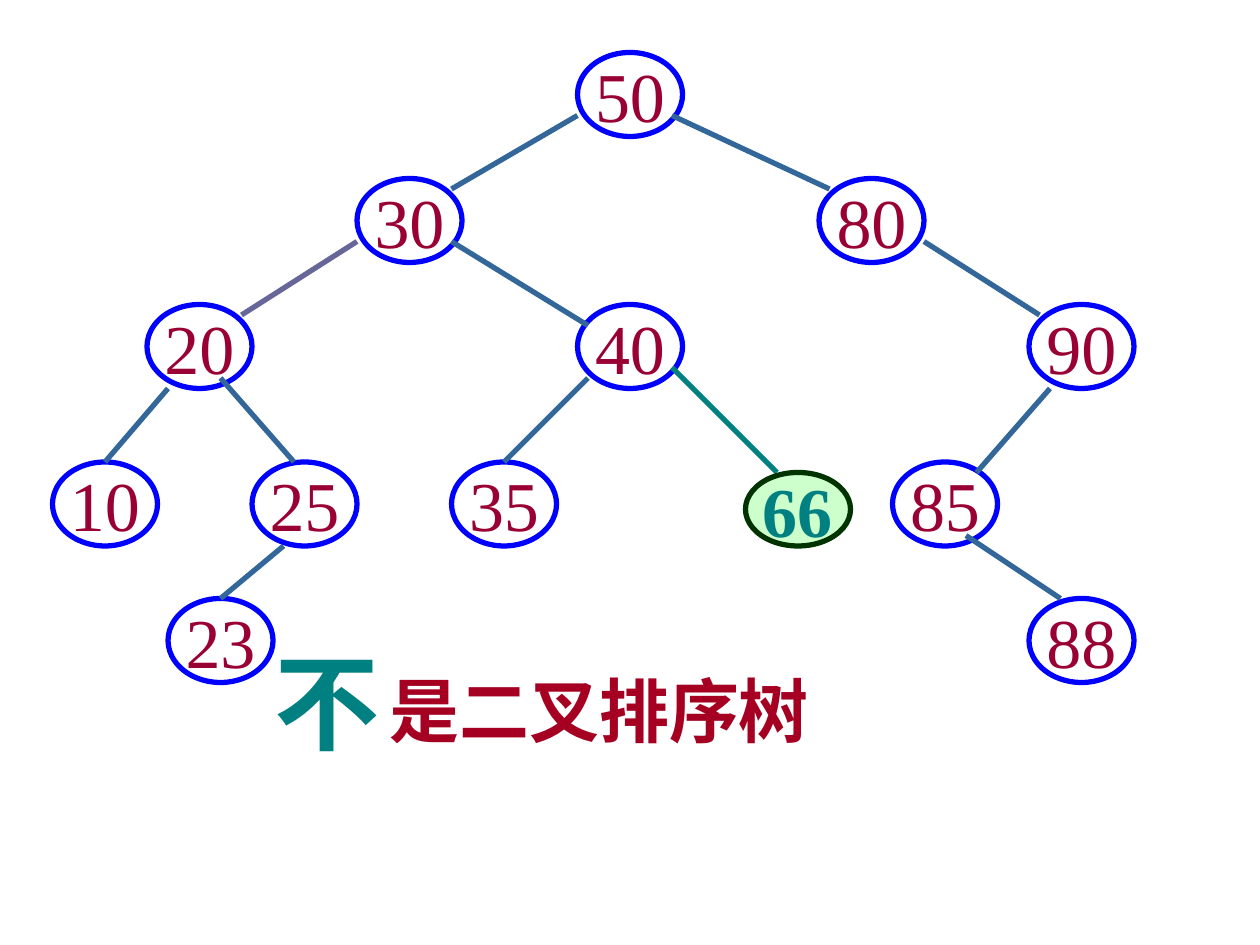
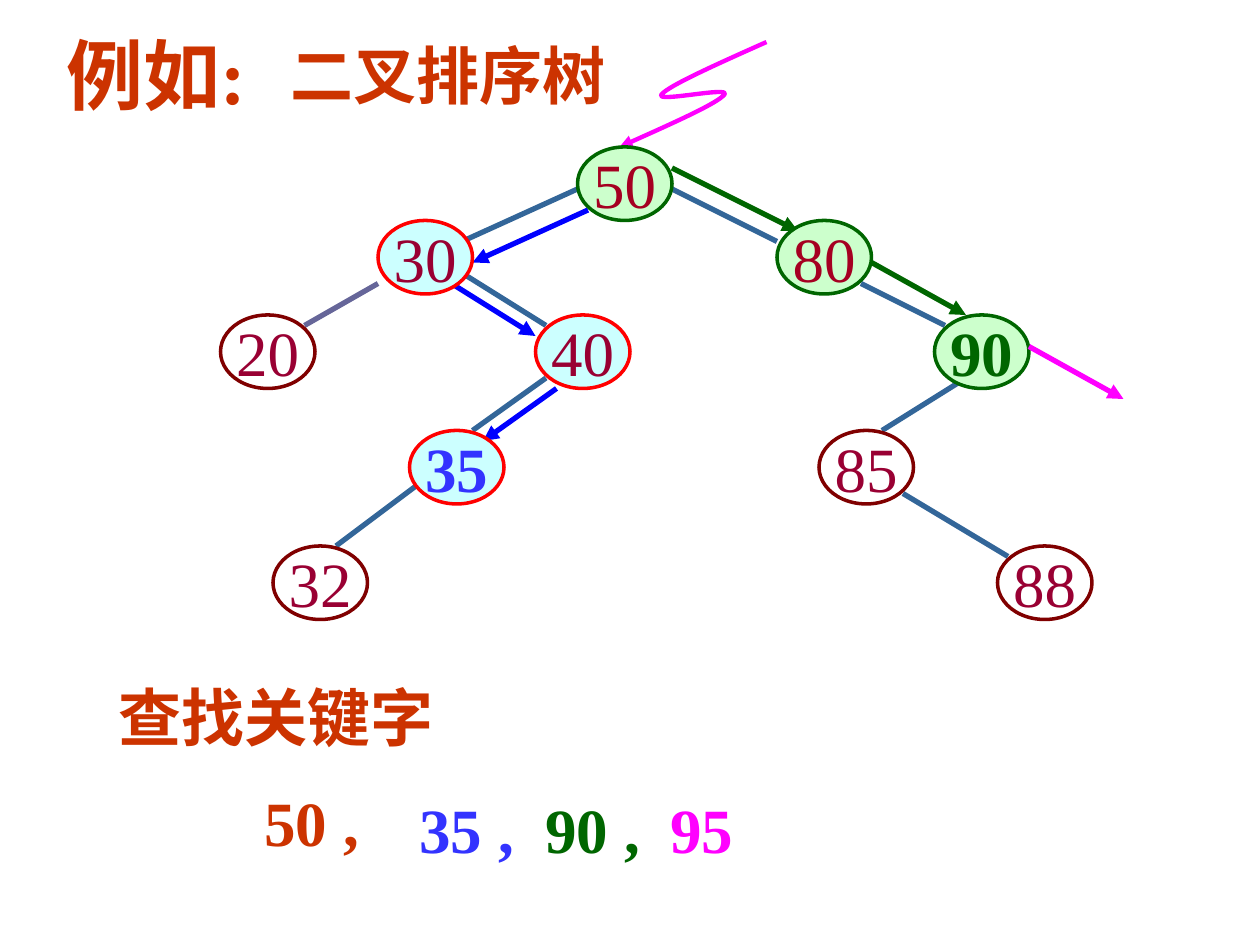
from dataclasses import dataclass

import pptx
import pptx.dml.color
import pptx.enum.shapes
import pptx.enum.text
import pptx.oxml
import pptx.oxml.ns
import pptx.util

# Shared look
FONT = "Times New Roman"
CRIMSON = "990033"
RED = "A50021"
ORANGE = "CC3300"
TEAL = "008080"
GREEN = "006600"
BLUE = "0000FF"
VIOLET = "3333FF"
MAGENTA = "FF00FF"
STEEL = "336699"
SLATE = "666699"
MINT = "CCFFCC"
EDGE_WIDTH = 3


@dataclass(frozen=True)
class NodeStyle:
    width: float
    height: float
    size: float
    line: str
    line_width: float
    color: str = CRIMSON
    fill: str | None = None
    bold: bool = False


@dataclass(frozen=True)
class Node:
    text: str
    left: float
    top: float
    style: NodeStyle


@dataclass(frozen=True)
class Edge:
    x1: float
    y1: float
    x2: float
    y2: float
    color: str = STEEL
    arrow: bool = False


@dataclass(frozen=True)
class Label:
    text: str
    left: float
    top: float
    width: float
    height: float
    size: float
    color: str
    wrap: bool = False


PLAIN = NodeStyle(60, 48, 40, BLUE, 3)
INSERTED = NodeStyle(60, 42, 40, "003300", 3, TEAL, MINT, True)
UNVISITED = NodeStyle(54, 42, 36, "800000", 2)
LEFT_PATH = NodeStyle(54, 42, 36, "FF0000", 2, CRIMSON, "CCFFFF")
LEFT_FOUND = NodeStyle(54, 42, 36, "FF0000", 2, VIOLET, "CCFFFF", True)
RIGHT_PATH = NodeStyle(54, 42, 36, GREEN, 2, RED, MINT)
RIGHT_FOUND = NodeStyle(54, 42, 36, GREEN, 2, GREEN, MINT, True)

# Slide 1: tree that breaks the ordering
BROKEN_NODES = [Node(text, left, top, PLAIN) for text, left, top in (
    ("50", 330, 30), ("30", 204, 102), ("80", 468, 102),
    ("20", 84, 174), ("40", 330, 174), ("90", 588, 174),
    ("10", 30, 264), ("25", 144, 264), ("35", 258, 264), ("85", 510, 264),
    ("23", 96, 342), ("88", 588, 342))]
BROKEN_EDGES = [
    Edge(330, 66, 258, 108), Edge(204, 138, 138, 180, SLATE),
    Edge(384, 66, 474, 108), Edge(258, 138, 336, 186),
    Edge(96, 222, 60, 264), Edge(126, 216, 168, 264),
    Edge(162, 312, 126, 342), Edge(336, 216, 288, 264),
    Edge(528, 138, 594, 180), Edge(600, 222, 558, 270),
    Edge(552, 306, 606, 342), Edge(384, 210, 444, 270, TEAL)]
INSERTED_NODE = Node("66", 426, 270, INSERTED)
BROKEN_TITLE = Label("是二叉排序树", 215.3, 378, 309, 55.4, 40, RED, True)
NEGATION = Label("不", 149.8, 360.7, 75, 79.2, 60, TEAL, True)

# Slide 2: searching the tree
SEARCH_EDGES = [
    Edge(330, 108, 264, 138), Edge(216, 162, 174, 186, SLATE),
    Edge(384, 108, 444, 138), Edge(264, 156, 312, 186),
    Edge(312, 216, 270, 246), Edge(492, 162, 540, 186),
    Edge(552, 216, 504, 246), Edge(516, 282, 576, 318),
    Edge(240, 276, 192, 312)]
SEARCH_ARROWS = [Edge(*ends, color, True) for color, *ends in (
    (BLUE, 336, 120, 270, 150), (BLUE, 258, 162, 306, 192),
    (BLUE, 318, 222, 276, 252), (GREEN, 384, 96, 456, 132),
    (GREEN, 498, 150, 552, 180))]
MISS_ARROW = Edge(588, 198, 642, 228, MAGENTA, True)
SEARCH_NODES = [
    Node("20", 126, 180, UNVISITED), Node("85", 468, 246, UNVISITED),
    Node("88", 570, 312, UNVISITED), Node("32", 156, 312, UNVISITED),
    Node("30", 216, 126, LEFT_PATH), Node("40", 306, 180, LEFT_PATH),
    Node("35", 234, 246, LEFT_FOUND), Node("50", 330, 84, RIGHT_PATH),
    Node("80", 444, 126, RIGHT_PATH), Node("90", 534, 180, RIGHT_FOUND)]
SEARCH_TITLE = Label("例如:", 31, 12.2, 127.4, 60.5, 44, ORANGE)
SEARCH_LABELS = [
    Label("二叉排序树", 159, 17.3, 194.4, 50.4, 36, ORANGE),
    Label("查找关键字", 60.5, 384, 194.4, 50.4, 36, ORANGE),
    Label("50 ,", 144, 444, 68.4, 50.4, 36, ORANGE, True),
    Label("35 ,", 232.6, 448, 68.4, 50.4, 36, VIOLET, True),
    Label("90 ,", 304.6, 448, 68.4, 50.4, 36, GREEN),
    Label("95", 375.8, 448, 59, 50.4, 36, MAGENTA)]
# Start point, then two control points and an end point per curve
ENTRY_CURVE = [
    (438, 24), (410, 36.5), (382, 49), (378, 54),
    (374, 59), (418, 49), (414, 54),
    (410, 59), (382, 71.5), (354, 84)]


def rgb(color: str) -> pptx.dml.color.RGBColor:
    return pptx.dml.color.RGBColor.from_string(color)


def set_text(shape, text: str, size: float, color: str, bold: bool, align) -> None:
    shape.text_frame.text = text
    para = shape.text_frame.paragraphs[0]
    para.alignment = align
    for span in para.runs:
        span.font.name = FONT
        span.font.size = pptx.util.Pt(size)
        span.font.bold = bold
        span.font.color.rgb = rgb(color)


def set_line(shape, color: str, width: float, arrow: bool = False) -> None:
    shape.line.color.rgb = rgb(color)
    shape.line.width = pptx.util.Pt(width)
    if arrow:
        head = pptx.oxml.parse_xml(
            f'<a:tailEnd {pptx.oxml.ns.nsdecls("a")} type="triangle"/>')
        shape.line._get_or_add_ln().append(head)


def format_label(box, label: Label) -> None:
    box.left, box.top = pptx.util.Pt(label.left), pptx.util.Pt(label.top)
    box.width, box.height = pptx.util.Pt(label.width), pptx.util.Pt(label.height)
    set_text(box, label.text, label.size, label.color, True,
             pptx.enum.text.PP_ALIGN.LEFT)
    frame = box.text_frame
    frame.vertical_anchor = pptx.enum.text.MSO_ANCHOR.TOP
    frame.word_wrap = label.wrap
    frame.auto_size = pptx.enum.text.MSO_AUTO_SIZE.SHAPE_TO_FIT_TEXT


def add_label(page, label: Label) -> None:
    format_label(page.shapes.add_textbox(0, 0, 0, 0), label)


def add_node(page, node: Node) -> None:
    style = node.style
    oval = page.shapes.add_shape(
        pptx.enum.shapes.MSO_SHAPE.OVAL,
        pptx.util.Pt(node.left), pptx.util.Pt(node.top),
        pptx.util.Pt(style.width), pptx.util.Pt(style.height))
    oval.shadow.inherit = False
    if style.fill:
        oval.fill.solid()
        oval.fill.fore_color.rgb = rgb(style.fill)
    else:
        oval.fill.background()
    set_line(oval, style.line, style.line_width)
    set_text(oval, node.text, style.size, style.color, style.bold,
             pptx.enum.text.PP_ALIGN.CENTER)
    oval.text_frame.vertical_anchor = pptx.enum.text.MSO_ANCHOR.MIDDLE
    oval.text_frame.word_wrap = False


def add_edge(page, edge: Edge) -> None:
    line = page.shapes.add_connector(
        pptx.enum.shapes.MSO_CONNECTOR.STRAIGHT,
        pptx.util.Pt(edge.x1), pptx.util.Pt(edge.y1),
        pptx.util.Pt(edge.x2), pptx.util.Pt(edge.y2))
    set_line(line, edge.color, EDGE_WIDTH, edge.arrow)
    line._element.spPr.append(pptx.oxml.parse_xml(
        f'<a:effectLst {pptx.oxml.ns.nsdecls("a")}/>'))


def add_curve(page, points: list[tuple[float, float]], color: str, width: float) -> None:
    start, *rest = [(pptx.util.Pt(x), pptx.util.Pt(y)) for x, y in points]
    builder = page.shapes.build_freeform(*start)
    builder.add_line_segments(rest, close=False)
    curve = builder.convert_to_shape()
    curve.shadow.inherit = False
    curve.fill.background()
    set_line(curve, color, width, True)
    # Merge each three straight segments into one Bézier curve
    segments = list(curve._element.iter(pptx.oxml.ns.qn("a:lnTo")))
    for first in range(0, len(segments), 3):
        bezier = pptx.oxml.parse_xml(
            f'<a:cubicBezTo {pptx.oxml.ns.nsdecls("a")}/>')
        segments[first].addprevious(bezier)
        for segment in segments[first:first + 3]:
            bezier.append(segment[0])
            segment.getparent().remove(segment)


def add_page(deck, title: Label):
    page = deck.slides.add_slide(deck.slide_layouts[5])
    format_label(page.shapes.title, title)
    return page


def build_broken_tree(deck) -> None:
    page = add_page(deck, BROKEN_TITLE)
    for node in BROKEN_NODES:
        add_node(page, node)
    for edge in BROKEN_EDGES:
        add_edge(page, edge)
    add_node(page, INSERTED_NODE)
    add_label(page, NEGATION)


def build_search_tree(deck) -> None:
    page = add_page(deck, SEARCH_TITLE)
    for edge in SEARCH_EDGES + SEARCH_ARROWS:
        add_edge(page, edge)
    add_curve(page, ENTRY_CURVE, MAGENTA, 2.5)
    for node in SEARCH_NODES:
        add_node(page, node)
    for label in SEARCH_LABELS:
        add_label(page, label)
    add_edge(page, MISS_ARROW)


def main() -> None:
    deck = pptx.Presentation()
    deck.slide_width, deck.slide_height = pptx.util.Pt(720), pptx.util.Pt(540)
    build_broken_tree(deck)
    build_search_tree(deck)
    deck.save("out.pptx")


if __name__ == "__main__":
    main()
